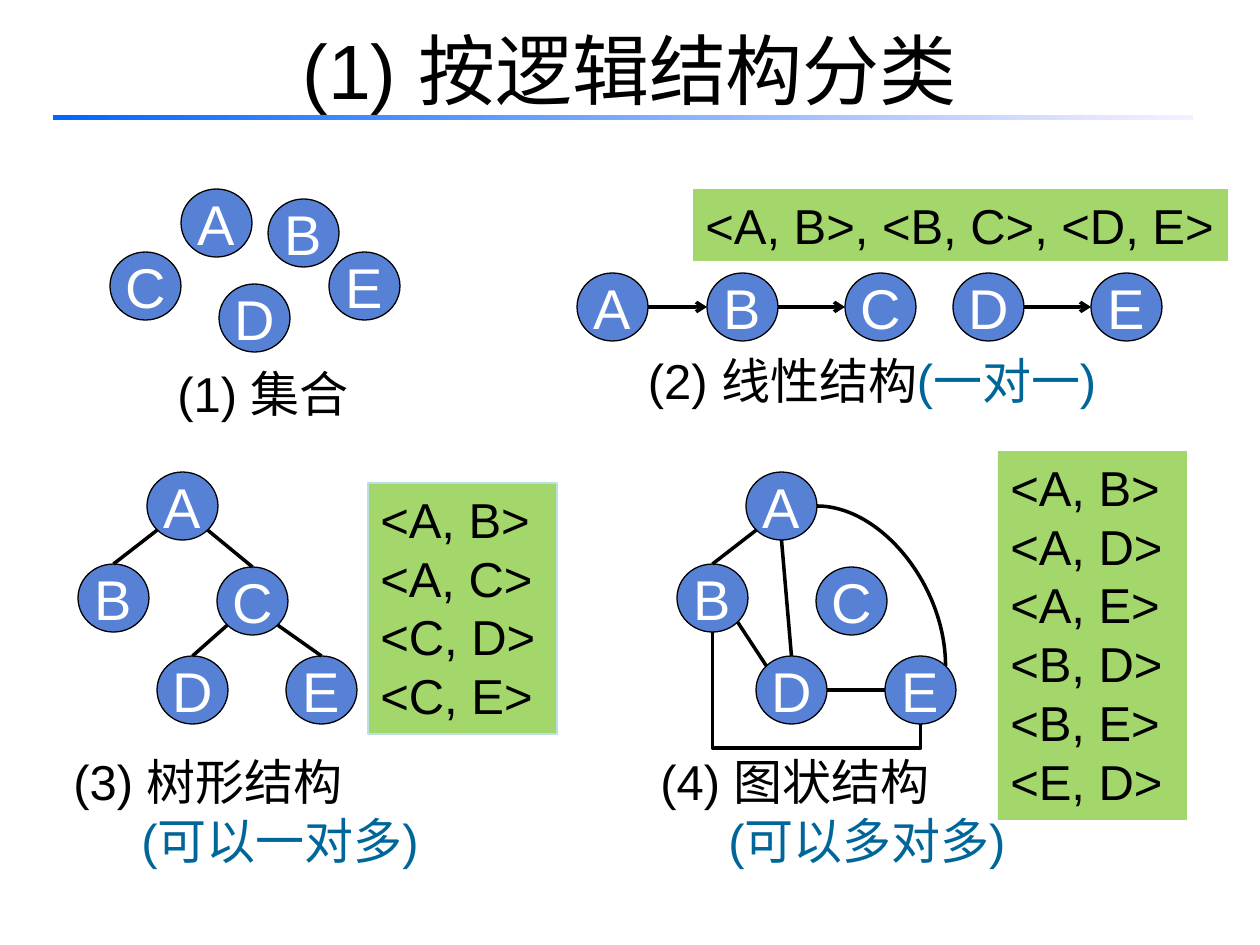
from math import cos, pi, sin

from lxml.etree import SubElement
from pptx import Presentation
from pptx.dml.color import RGBColor
from pptx.enum.shapes import MSO_CONNECTOR, MSO_SHAPE
from pptx.enum.text import MSO_ANCHOR, MSO_AUTO_SIZE, PP_ALIGN
from pptx.oxml.ns import qn
from pptx.util import Pt

PX = 914400 / 126
W, H = 71, 68  # node size
COLORS = {"node": "5781D5", "pairs": "A4D76B", "black": "000000", "white": "FFFFFF",
          "note": "006699", "edge": "BBE0E3", "rule": "0066FF", "fade": "F7EFFF"}
C = {name: RGBColor.from_string(value) for name, value in COLORS.items()}

prs = Presentation()
prs.slide_width, prs.slide_height = round(1260 * PX), round(945 * PX)
s = prs.slides.add_slide(prs.slide_layouts[5])


def write(tf, text, size=28, color="black", align=PP_ALIGN.LEFT, indent=0, same_line=False):
    """Add a run, on a new paragraph unless the frame is empty or same_line is set."""
    p = tf.paragraphs[-1]
    if p.runs and not same_line:
        p = tf.add_paragraph()
    p.alignment = align
    if indent:
        pPr = p._p.get_or_add_pPr()
        pPr.set("marL", str(round(indent * PX)))
        pPr.set("indent", "0")
    r = p.add_run()
    r.text = text
    r.font.size, r.font.name = Pt(size), "Arial"
    r.font.color.rgb = C[color]


def join(start, site1, end, site2, kind=MSO_CONNECTOR.STRAIGHT):
    """Link two ovals; the eight sites run anticlockwise from the top."""
    ends = []
    for node, site in ((start, site1), (end, site2)):
        angle = site * pi / 4
        ends += [round(node.left + node.width / 2 * (1 - sin(angle))),
                 round(node.top + node.height / 2 * (1 - cos(angle)))]
    c = s.shapes.add_connector(kind, *ends)
    c.line.color.rgb, c.line.width = C["black"], Pt(2)
    SubElement(c._element.spPr, qn("a:effectLst"))
    links = c._element.find(".//" + qn("p:cNvCxnSpPr"))
    for tag, node, site in (("a:stCxn", start, site1), ("a:endCxn", end, site2)):
        SubElement(links, qn(tag), id=str(node.shape_id), idx=str(site))
    return c


# Title
title = s.shapes.title
title.left, title.top, title.width, title.height = [round(v * PX) for v in (63, -10, 1134, 158)]
title.text_frame.vertical_anchor = MSO_ANCHOR.MIDDLE
write(title.text_frame, "(1) 按逻辑结构分类", size=44, align=PP_ALIGN.CENTER)

# Gradient rule under the title
rule = s.shapes.add_shape(MSO_SHAPE.RECTANGLE, *[round(v * PX) for v in (53, 115, 1140, 5)])
rule.shadow.inherit = False
rule.line.fill.background()
rule.fill.gradient()
rule.fill.gradient_angle = 0
for stop, name in zip(rule.fill.gradient_stops, ("rule", "fade")):
    stop.color.rgb = C[name]

# Nodes of the four structures, A to E
tree_spots = [(147, 472), (78, 564), (217, 567), (157, 656), (286, 656)]
spots = {
    "set": [(181, 189), (268, 199), (110, 252), (219, 284), (329, 252)],
    "linear": [(x, 273) for x in (577, 707, 845, 953, 1091)],
    "tree": tree_spots,
    "graph": [(x + 599, y) for x, y in tree_spots],
}
nodes = {}
for group, places in spots.items():
    for name, (x, y) in zip("ABCDE", places):
        sp = s.shapes.add_shape(MSO_SHAPE.OVAL, *[round(v * PX) for v in (x, y, W, H)])
        sp.shadow.inherit = False
        sp.fill.solid()
        sp.fill.fore_color.rgb = C["node"]
        sp.line.color.rgb, sp.line.width = C["black"], Pt(0.75)
        sp.text_frame.word_wrap = False
        sp.text_frame.vertical_anchor = MSO_ANCHOR.MIDDLE
        write(sp.text_frame, name, size=32, color="white", align=PP_ALIGN.CENTER)
        nodes[group, name] = sp

# Captions: box, alignment, then runs of (text, colour, indent, same line)
captions = [
    ((95, 357, 336, 72), PP_ALIGN.CENTER, [("(1) 集合", "black", 0, False)]),
    ((566, 344, 612, 72), PP_ALIGN.CENTER,
     [("(2) 线性结构", "black", 0, False), ("(一对一)", "note", 0, True)]),
    ((-21, 745, 525, 131), PP_ALIGN.LEFT,
     [("(3) 树形结构", "black", 82, False), ("(可以一对多)", "note", 150, False)]),
    ((607, 745, 578, 131), PP_ALIGN.LEFT,
     [("(4) 图状结构", "black", 41, False), ("(可以多对多)", "note", 109, False)]),
]
for box, align, runs in captions:
    tf = s.shapes.add_textbox(*[round(v * PX) for v in box]).text_frame
    tf.word_wrap = True
    tf.auto_size = MSO_AUTO_SIZE.SHAPE_TO_FIT_TEXT
    for text, color, indent, same_line in runs:
        write(tf, text, color=color, align=align, indent=indent, same_line=same_line)

# Green boxes listing the pairs
pair_boxes = [
    ((693, 189, 535, 72), None, ["<A, B>, <B, C>, <D, E>"]),
    ((368, 483, 189, 251), "edge", ["<A, B>", "<A, C>", "<C, D>", "<C, E>"]),
    ((998, 451, 189, 369), None,
     ["<A, B>", "<A, D>", "<A, E>", "<B, D>", "<B, E>", "<E, D>"]),
]
for box, border, pairs in pair_boxes:
    sp = s.shapes.add_shape(MSO_SHAPE.RECTANGLE, *[round(v * PX) for v in box])
    sp.shadow.inherit = False
    sp.fill.solid()
    sp.fill.fore_color.rgb = C["pairs"]
    if border:
        sp.line.color.rgb, sp.line.width = C[border], Pt(0.75)
    else:
        sp.line.fill.background()
    tf = sp.text_frame
    tf.word_wrap = True
    tf.auto_size = MSO_AUTO_SIZE.SHAPE_TO_FIT_TEXT
    tf.vertical_anchor = MSO_ANCHOR.TOP
    for pair in pairs:
        write(tf, pair)

# Straight edges: group, start, site, end, site
edges = [
    ("linear", "A", 6, "B", 2), ("linear", "B", 6, "C", 2), ("linear", "D", 6, "E", 2),
    ("tree", "A", 3, "B", 0), ("tree", "A", 5, "C", 0),
    ("tree", "C", 3, "D", 0), ("tree", "C", 5, "E", 0),
    ("graph", "A", 3, "B", 0), ("graph", "A", 4, "D", 0),
    ("graph", "B", 5, "D", 1), ("graph", "E", 2, "D", 6),
]
for group, start, site1, end, site2 in edges:
    c = join(nodes[group, start], site1, nodes[group, end], site2)
    if group == "linear":
        SubElement(c.line._get_or_add_ln(), qn("a:tailEnd"), type="arrow")

# Curved edge from A to E
c = join(nodes["graph", "A"], 6, nodes["graph", "E"], 7, MSO_CONNECTOR.CURVE)
c._element.spPr.find(qn("a:prstGeom")).set("prst", "curvedConnector2")

# Bent edge from B to E, turned so that it runs below both
c = join(nodes["graph", "B"], 4, nodes["graph", "E"], 4, MSO_CONNECTOR.ELBOW)
across, down = c.width, c.height
c.left, c.top = c.left + (across - down) // 2, c.top + (down - across) // 2
c.width, c.height = down, across
xfrm = c._element.spPr.find(qn("a:xfrm"))
xfrm.set("rot", "16200000")
xfrm.set("flipH", "1")
guides = c._element.spPr.find(qn("a:prstGeom")).find(qn("a:avLst"))
SubElement(guides, qn("a:gd"), name="adj1", fmla="val 126100")

prs.save("out.pptx")
